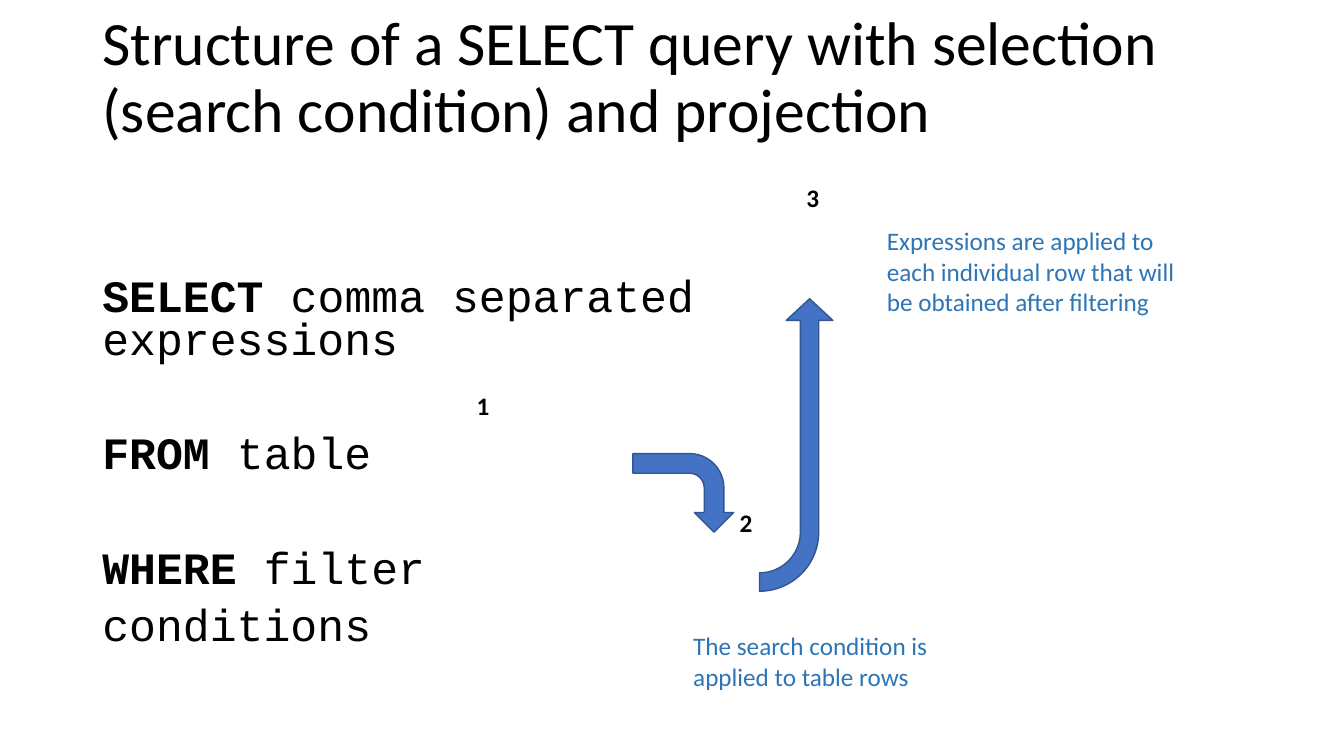
from pptx import Presentation
from pptx.dml.color import RGBColor
from pptx.enum.shapes import MSO_SHAPE
from pptx.enum.text import MSO_ANCHOR
from pptx.util import Cm, Pt

BENT_ARROW = MSO_SHAPE.BENT_ARROW
TOP, MIDDLE = MSO_ANCHOR.TOP, MSO_ANCHOR.MIDDLE
COLORS = {"text": "000000", "note": "2E75B6", "arrow": "4472C4", "edge": "325491"}


class QuerySlide:
    """Slide with a style and one method for each kind of element."""

    font = "Calibri"
    code_font = "Courier New"

    def __init__(self, prs):
        self.s = prs.slides.add_slide(prs.slide_layouts[6])

    def color(self, name):
        return RGBColor.from_string(COLORS[name])

    def style(self, r, size, color="text", bold=False, font=None):
        r.font.name = font or self.font
        r.font.size = Pt(size)
        r.font.bold = bold
        r.font.color.rgb = self.color(color)

    def box(self, x, y, w, h, anchor=TOP):
        tf = self.s.shapes.add_textbox(Cm(x), Cm(y), Cm(w), Cm(h)).text_frame
        tf.word_wrap = True
        tf.vertical_anchor = anchor
        return tf

    def title(self, text, x, y, w, h):
        tf = self.box(x, y, w, h, MIDDLE)
        tf.margin_bottom = Cm(1.83)
        tf.text = text
        p = tf.paragraphs[0]
        p.line_spacing = 0.9
        self.style(p.runs[0], 44)

    def query(self, clauses, x, y, w, h):
        tf = self.box(x, y, w, h)
        tf.margin_top = Cm(1.92)
        for i, (keyword, rest, gap) in enumerate(clauses):
            p = tf.add_paragraph() if i else tf.paragraphs[0]
            p.line_spacing = 0.8
            p.space_before = Pt(gap)
            for text, bold in ((keyword, True), (rest, False)):
                if text:
                    r = p.add_run()
                    r.text = text
                    self.style(r, 32, bold=bold, font=self.code_font)

    def label(self, text, x, y, w, h, color="text", bold=False):
        tf = self.box(x, y, w, h)
        tf.text = text
        self.style(tf.paragraphs[0].runs[0], 18, color, bold)

    def arrow(self, x, y, w, h, rotation, adjustments=(), flip=False):
        sp = self.s.shapes.add_shape(BENT_ARROW, Cm(x), Cm(y), Cm(w), Cm(h))
        sp.shadow.inherit = False
        sp.rotation = rotation
        for i, value in enumerate(adjustments):
            sp.adjustments[i] = value
        if flip:
            sp.element.spPr.xfrm.set("flipV", "1")
        sp.fill.solid()
        sp.fill.fore_color.rgb = self.color("arrow")
        sp.line.color.rgb = self.color("edge")
        sp.line.width = Pt(1)


def main():
    prs = Presentation()
    prs.slide_width, prs.slide_height = Cm(33.87), Cm(19.05)
    slide = QuerySlide(prs)
    slide.title("Structure of a SELECT query with selection (search condition) and projection",
                2.33, 1.01, 29.21, 3.68)
    slide.query([("SELECT ", "comma separated expressions", 0),
                 ("FROM ", "table", 51),
                 ("WHERE ", "filter", 51),
                 ("", "conditions", 10)], 2.33, 5.08, 19.9, 12.09)
    slide.arrow(16.23, 11.15, 1.98, 2.54, 90)
    slide.arrow(16.38, 10.29, 7.37, 1.85, 270, (0.25, 0.318, 0.295, 0.875), flip=True)
    slide.label("The search condition is applied to table rows",
                17.22, 15.77, 7.34, 1.8, "note")
    slide.label("Expressions are applied to each individual row that will "
                "be obtained after filtering", 22.1, 5.56, 8.51, 2.57, "note")
    for number, x, y in (("1", 11.76, 9.7), ("2", 18.39, 12.67), ("3", 20.07, 4.47)):
        slide.label(number, x, y, 1.14, 1.02, bold=True)
    prs.save("out.pptx")


if __name__ == "__main__":
    main()
